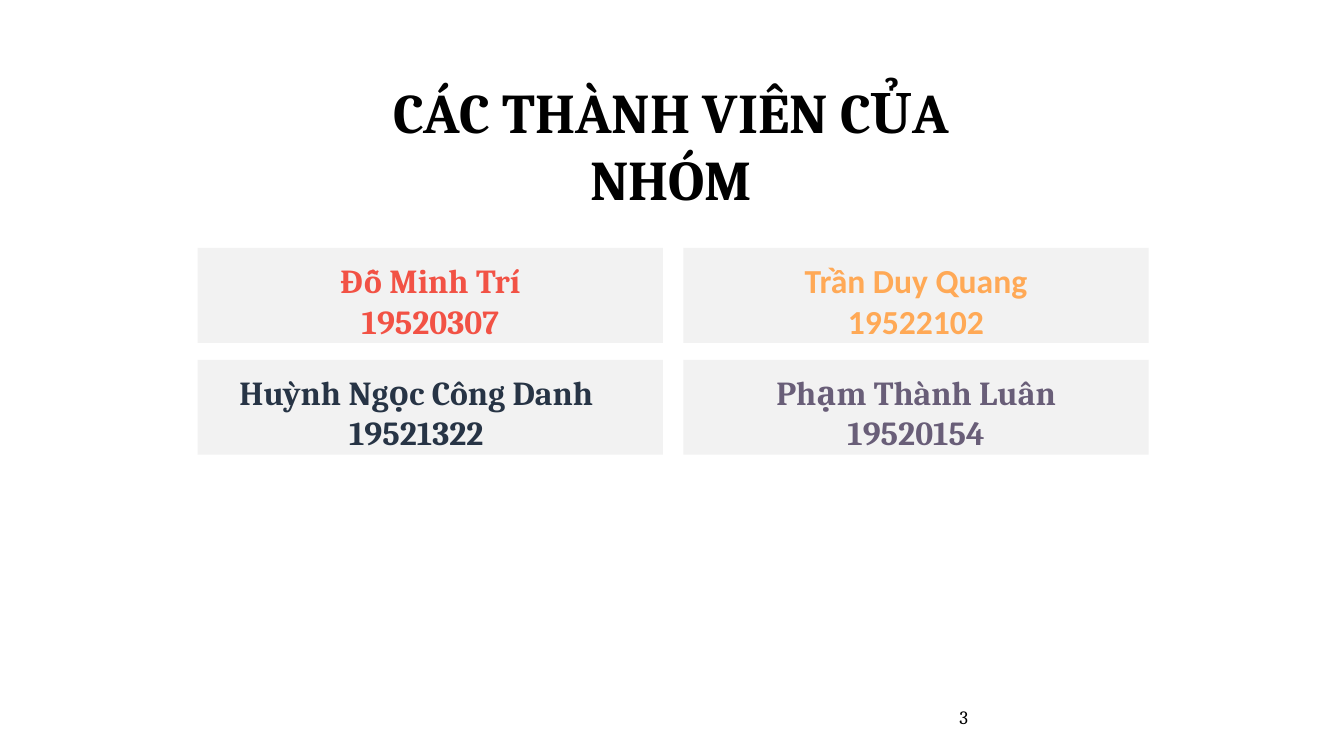
from pptx import Presentation
from pptx.dml.color import RGBColor
from pptx.enum.shapes import MSO_SHAPE as Shape
from pptx.enum.text import MSO_AUTO_SIZE as AutoSize, PP_ALIGN as Align
from pptx.util import Cm, Pt

COLORS = {
    "black": "000000",
    "card": "F2F2F2",
    "red": "F25245",
    "orange": "FFA956",
    "navy": "273445",
    "purple": "695E78",
}

CARD_LEFT, CARD_TOP = 4.98, 6.25
CARD_WIDTH, CARD_HEIGHT = 11.73, 2.39
COLUMN_STEP, ROW_STEP = 12.24, 2.82
LABEL_INSET, LABEL_DROP, LABEL_HEIGHT = 0.91, 0.18, 2.31

# Name, student number, colour, font, left inset of the label
MEMBERS = [
    ("Đỗ Minh Trí", "19520307", "red", "Cambria", LABEL_INSET),
    ("Trần Duy Quang", "19522102", "orange", "Calibri", LABEL_INSET),
    ("Huỳnh Ngọc Công Danh", "19521322", "navy", "Cambria", 0.2),
    ("Phạm Thành Luân", "19520154", "purple", "Cambria", LABEL_INSET),
]


def write_line(para, text, *, size, color, font="Cambria", bold=False, align=Align.LEFT):
    para.alignment = align
    span = para.add_run()
    span.text = text
    span.font.name = font
    span.font.size = Pt(size)
    span.font.bold = bold
    span.font.color.rgb = RGBColor.from_string(COLORS[color])


class MembersPage:
    def __init__(self, deck):
        self.page = deck.slides.add_slide(deck.slide_layouts[6])

    def text(self, lines, left, top, width, height, *, parent=None, grow=True, **style):
        box = (parent or self.page).shapes.add_textbox(
            Cm(left), Cm(top), Cm(width), Cm(height))
        frame = box.text_frame
        frame.word_wrap = True
        frame.auto_size = AutoSize.SHAPE_TO_FIT_TEXT if grow else AutoSize.NONE
        for index, line in enumerate(lines):
            para = frame.add_paragraph() if index else frame.paragraphs[0]
            write_line(para, line, **style)

    def card(self, left, top, name, number, color, font, inset):
        group = self.page.shapes.add_group_shape()
        panel = group.shapes.add_shape(
            Shape.RECTANGLE, Cm(left), Cm(top), Cm(CARD_WIDTH), Cm(CARD_HEIGHT))
        panel.shadow.inherit = False
        panel.fill.solid()
        panel.fill.fore_color.rgb = RGBColor.from_string(COLORS["card"])
        panel.line.fill.background()
        self.text([name, number], left + inset, top + LABEL_DROP,
                  CARD_WIDTH - LABEL_INSET - inset, LABEL_HEIGHT, parent=group,
                  size=24, color=color, font=font, bold=True, align=Align.CENTER)


def main():
    deck = Presentation()
    deck.slide_width, deck.slide_height = Cm(33.87), Cm(19.05)
    members_page = MembersPage(deck)

    # Title
    members_page.text(["CÁC THÀNH VIÊN CỦA NHÓM"], 7.95, 1.83, 17.93, 1.96,
                      size=40, color="black", bold=True, align=Align.CENTER)

    # Member cards, two per row
    for index, member in enumerate(MEMBERS):
        row, column = divmod(index, 2)
        members_page.card(CARD_LEFT + column * COLUMN_STEP,
                          CARD_TOP + row * ROW_STEP, *member)

    # Page number
    members_page.text(["3"], 23.93, 17.65, 7.62, 1.02, grow=False,
                      size=13.5, color="black")

    deck.save("out.pptx")


if __name__ == "__main__":
    main()
